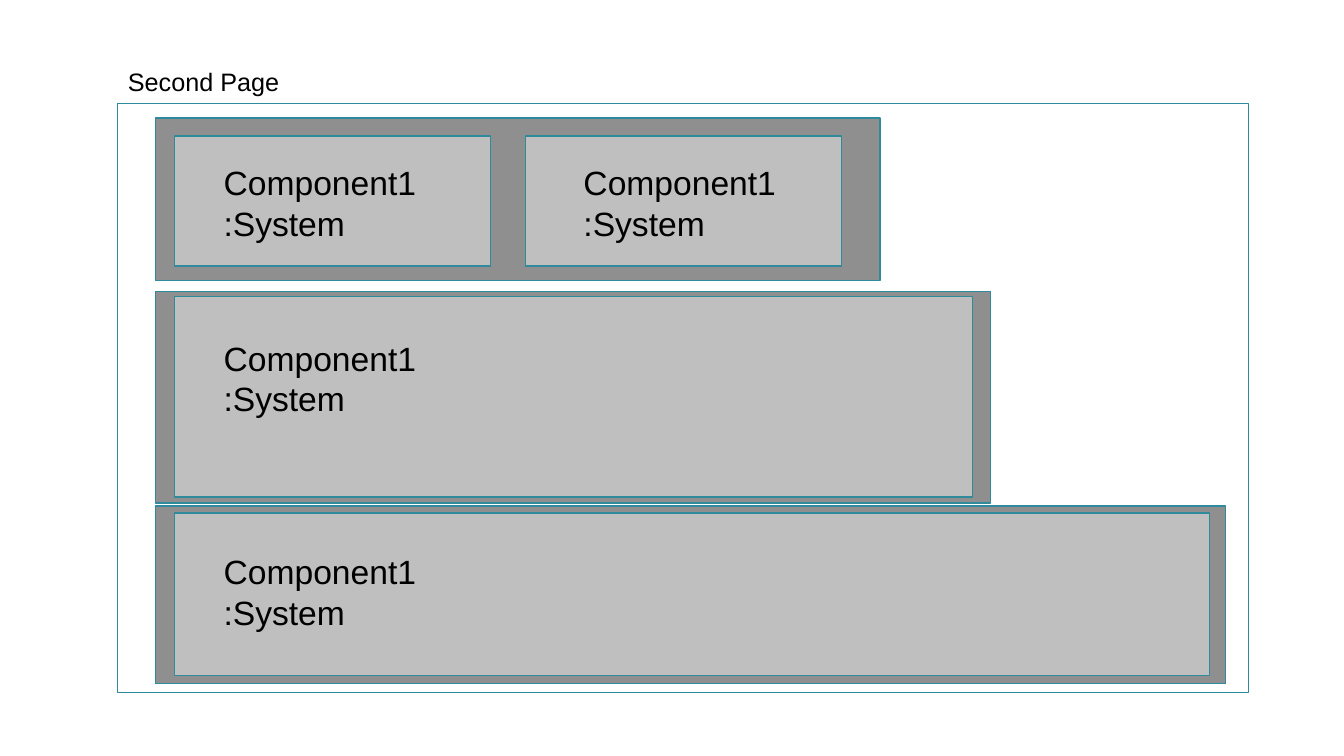
from dataclasses import dataclass
from typing import Optional

from pptx import Presentation
from pptx.dml.color import RGBColor
from pptx.enum.shapes import MSO_SHAPE as Preset
from pptx.enum.text import MSO_AUTO_SIZE as AutoSize
from pptx.slide import Slide
from pptx.util import Emu, Inches, Pt

# Grid: 40 columns by 30 rows over the whole slide
SLIDE_WIDTH, SLIDE_HEIGHT = Inches(13.33), Inches(7.5)
COLUMN, ROW = SLIDE_WIDTH / 40, SLIDE_HEIGHT / 30

COLORS = {"band": "8F8F8F", "component": "BFBFBF", "outline": "2F8A9B", "text": "000000"}
FONT_FORMAT = {"name": "Arial", "bold": False}
FRAME_FORMAT = {"word_wrap": True, "auto_size": AutoSize.SHAPE_TO_FIT_TEXT}
COMPONENT_LINES = ["Component1", ":System"]


@dataclass(frozen=True)
class Box:
    left: float
    top: float
    width: float
    height: float

    def place(self) -> list[Emu]:
        return [Emu(round(length)) for length in (
            self.left * COLUMN, self.top * ROW, self.width * COLUMN, self.height * ROW)]


@dataclass(frozen=True)
class Component:
    box: Box
    label_left: float
    label_top: float

    def label_box(self) -> Box:
        return Box(self.label_left, self.label_top, 7.08, 3.64)


FRAME = Box(3.51, 4.12, 33.66, 23.36)
TITLE = Box(3.51, 2.44, 5.49, 1.6)
BANDS = [
    Box(4.62, 4.68, 21.57, 6.44),
    Box(4.62, 11.56, 24.87, 8.4),
    Box(4.62, 20.08, 31.86, 7.04),
]
COMPONENTS = [
    Component(Box(5.19, 5.4, 9.42, 5.16), 6.36, 6.24),
    Component(Box(15.63, 5.4, 9.42, 5.16), 17.07, 6.24),
    Component(Box(5.19, 11.76, 23.76, 7.96), 6.36, 13.2),
    Component(Box(5.19, 20.36, 30.81, 6.44), 6.36, 21.68),
]


def draw_box(slide: Slide, box: Box, fill: Optional[str] = None) -> None:
    shape = slide.shapes.add_shape(Preset.RECTANGLE, *box.place())
    shape.shadow.inherit = False
    shape.line.color.rgb = RGBColor.from_string(COLORS["outline"])
    shape.line.width = Pt(0.85)
    if fill is None:
        shape.fill.background()
    else:
        shape.fill.solid()
        shape.fill.fore_color.rgb = RGBColor.from_string(COLORS[fill])


def draw_text(slide: Slide, box: Box, lines: list[str], size: float) -> None:
    text_frame = slide.shapes.add_textbox(*box.place()).text_frame
    for name, value in FRAME_FORMAT.items():
        setattr(text_frame, name, value)
    text_frame.text = "\n".join(lines)
    for paragraph in text_frame.paragraphs:
        font = paragraph.runs[0].font
        for name, value in {**FONT_FORMAT, "size": Pt(size)}.items():
            setattr(font, name, value)
        font.color.rgb = RGBColor.from_string(COLORS["text"])


def main() -> None:
    presentation = Presentation()
    presentation.slide_width, presentation.slide_height = SLIDE_WIDTH, SLIDE_HEIGHT
    slide = presentation.slides.add_slide(presentation.slide_layouts[6])

    # Bands, then the titled frame around them
    for band in BANDS:
        draw_box(slide, band, "band")
    draw_box(slide, FRAME)
    draw_text(slide, TITLE, ["Second Page"], 18)

    # Components with their labels
    for component in COMPONENTS:
        draw_box(slide, component.box, "component")
        draw_text(slide, component.label_box(), COMPONENT_LINES, 24)

    presentation.save("out.pptx")


if __name__ == "__main__":
    main()
